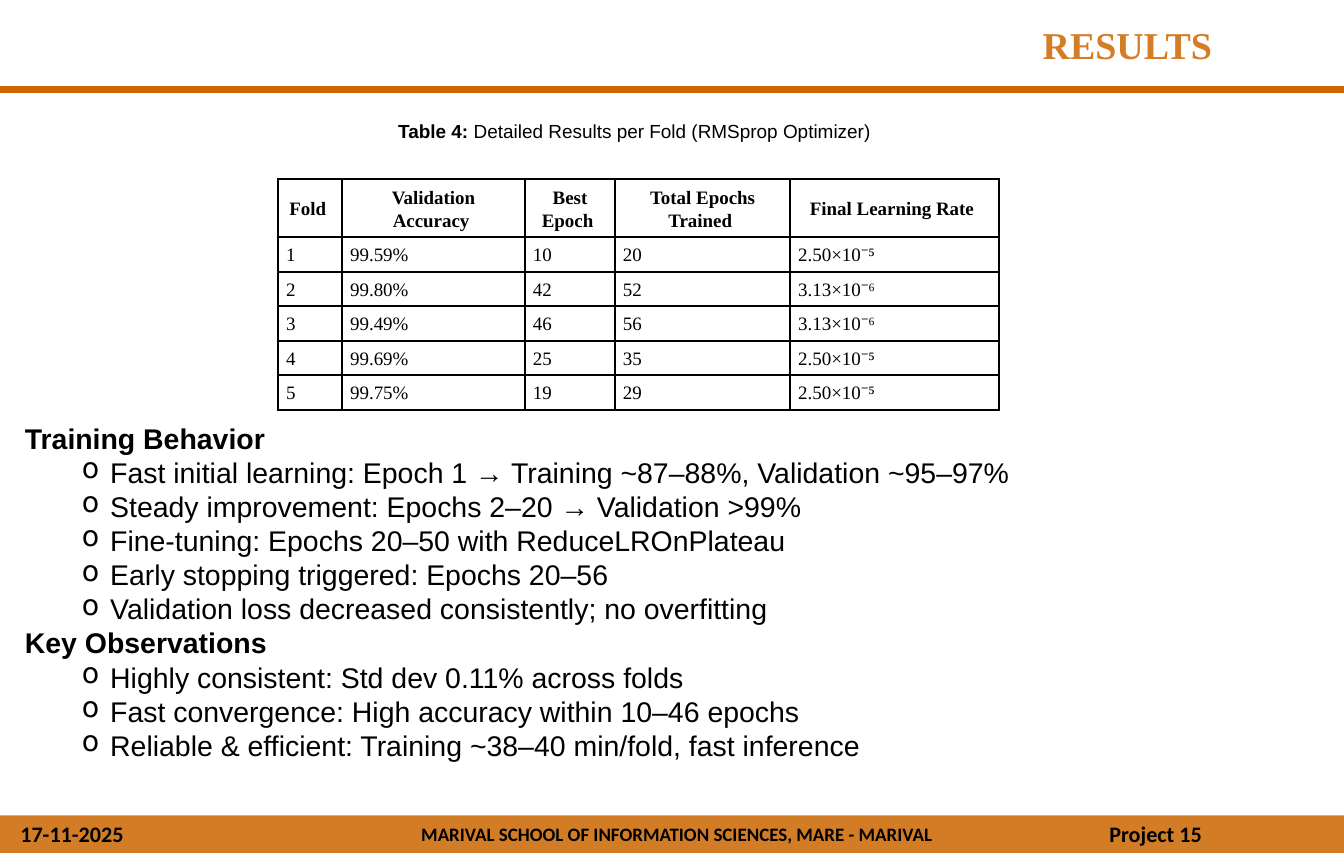
from dataclasses import dataclass

from lxml import etree
from pptx import Presentation, util as u
from pptx.dml.color import RGBColor
from pptx.enum import shapes, text
from pptx.oxml import ns

TITLE = "RESULTS"
CAPTION = ("Table 4: ", "Detailed Results per Fold (RMSprop Optimizer)")
RESULTS = [
    ("Fold", "Validation Accuracy", "Best Epoch", "Total Epochs Trained", "Final Learning Rate"),
    ("1", "99.59%", "10", "20", "2.50×10⁻⁵"),
    ("2", "99.80%", "42", "52", "3.13×10⁻⁶"),
    ("3", "99.49%", "46", "56", "3.13×10⁻⁶"),
    ("4", "99.69%", "25", "35", "2.50×10⁻⁵"),
    ("5", "99.75%", "19", "29", "2.50×10⁻⁵"),
]
FINDINGS = {
    "Training Behavior": [
        "Fast initial learning: Epoch 1 → Training ~87–88%, Validation ~95–97%",
        "Steady improvement: Epochs 2–20 → Validation >99%",
        "Fine-tuning: Epochs 20–50 with ReduceLROnPlateau",
        "Early stopping triggered: Epochs 20–56",
        "Validation loss decreased consistently; no overfitting",
    ],
    "Key Observations": [
        "Highly consistent: Std dev 0.11% across folds",
        "Fast convergence: High accuracy within 10–46 epochs",
        "Reliable & efficient: Training ~38–40 min/fold, fast inference",
    ],
}
DATE = "17-11-2025"
SCHOOL = "MARIVAL SCHOOL OF INFORMATION SCIENCES, MARE - MARIVAL"
PAGE = "Project 15"

WIDTH, HEIGHT = u.Cm(30), u.Inches(7.5)
COLUMNS = (4.76, 13.6, 6.7, 13.04, 15.5)
HEAD_ROW, BODY_ROW = 6.8, 4.04
RULE_Y = 10.53
HARD_SPACE = chr(160)
LEFT, CENTER = text.PP_ALIGN.LEFT, text.PP_ALIGN.CENTER


@dataclass(frozen=True)
class Theme:
    ink: str = "000000"
    accent: str = "CC6600"
    title: str = "D47D26"
    serif: str = "Times New Roman"
    sans: str = "Arial"
    footer: str = "Calibri"
    heading_size: int = 24
    body_size: int = 18
    footer_size: int = 14
    small_size: int = 12
    body_leading: float = 21.6
    cell_leading: float = 14.6


T = Theme()


def across(share):
    return round(WIDTH * share / 100)


def down(share):
    return round(HEIGHT * share / 100)


def area(x, y, w, h):
    return across(x), down(y), across(w), down(h)


def write(tf, words, size=T.small_size, font=T.sans, color=T.ink, bold=False,
          align=LEFT, leading=None, bullet=None, join=False):
    p = tf.paragraphs[-1]
    if p.runs and not join:
        p = tf.add_paragraph()
    p.alignment = align
    if leading:
        p.line_spacing = u.Pt(leading)
    if bullet:
        p.level = 1
        props = p._p.get_or_add_pPr()
        props.set("marL", str(u.Inches(0.75)))
        props.set("indent", str(-u.Inches(0.25)))
        etree.SubElement(props, ns.qn("a:buChar"), char=bullet)
    r = p.add_run()
    r.text = words
    r.font.size, r.font.name, r.font.bold = u.Pt(size), font, bold
    r.font.color.rgb = RGBColor.from_string(color)


def text_box(s, *place):
    tf = s.shapes.add_textbox(*area(*place)).text_frame
    tf.word_wrap = True
    return tf


def add_frame(s):
    rule = s.shapes.add_connector(shapes.MSO_CONNECTOR.STRAIGHT, 0, down(RULE_Y), WIDTH, down(RULE_Y))
    rule.line.color.rgb = RGBColor.from_string(T.accent)
    rule.line.width = u.Pt(4.5)
    etree.SubElement(rule._element.spPr, ns.qn("a:effectLst"))

    bar = s.shapes.add_shape(shapes.MSO_SHAPE.RECTANGLE, *area(0, 95.6, 100, 4.4))
    bar.shadow.inherit = False
    bar.line.fill.background()
    bar.fill.solid()
    bar.fill.fore_color.rgb = RGBColor.from_string(T.accent)
    tint = bar._element.spPr.find(".//" + ns.qn("a:srgbClr"))
    etree.SubElement(tint, ns.qn("a:alpha"), val="85000")

    for words, place, size, align in (
        (SCHOOL, (24.13, 95.8, 52.5, 4.13), T.small_size, CENTER),
        (DATE, (0.68, 95.47, 11.26, 4.53), T.footer_size, LEFT),
        (PAGE, (81.71, 95.47, 18.2, 4.53), T.footer_size, LEFT),
    ):
        write(text_box(s, *place), words, size=size, font=T.footer, bold=True, align=align)


def add_findings(s):
    tf = text_box(s, 1.02, 48.67, 95.94, 42)
    for heading, points in FINDINGS.items():
        write(tf, heading, size=T.body_size, bold=True, leading=T.body_leading)
        for point in points:
            write(tf, point, size=T.body_size, leading=T.body_leading, bullet="o")


def outline(cell):
    props = cell._tc.get_or_add_tcPr()
    for i, side in enumerate(("a:lnL", "a:lnR", "a:lnT", "a:lnB")):
        ln = etree.Element(ns.qn(side), w=str(u.Pt(1.5)))
        fill = etree.SubElement(ln, ns.qn("a:solidFill"))
        etree.SubElement(fill, ns.qn("a:srgbClr"), val=T.ink)
        props.insert(i, ln)


def add_results(s):
    heights = [HEAD_ROW] + [BODY_ROW] * (len(RESULTS) - 1)
    place = area(20.7, 21, sum(COLUMNS), sum(heights))
    table = s.shapes.add_table(len(RESULTS), len(COLUMNS), *place).table
    table.first_row = table.horz_banding = False
    for column, share in zip(table.columns, COLUMNS):
        column.width = across(share)
    for i, (row, share) in enumerate(zip(table.rows, heights)):
        row.height = down(share)
        for cell, words in zip(row.cells, RESULTS[i]):
            cell.fill.background()
            outline(cell)
            cell.vertical_anchor = text.MSO_ANCHOR.MIDDLE
            cell.margin_left = cell.margin_right = u.Inches(0.07)
            cell.margin_top = cell.margin_bottom = u.Inches(0.05)
            write(cell.text_frame, words + HARD_SPACE, font=T.serif, bold=i == 0,
                  align=LEFT if i else CENTER, leading=T.cell_leading)


def main():
    prs = Presentation()
    prs.slide_width, prs.slide_height = WIDTH, HEIGHT
    s = prs.slides.add_slide(prs.slide_layouts[6])
    add_frame(s)
    write(text_box(s, 76.75, 1.87, 22.27, 17.47), TITLE, size=T.heading_size, font=T.serif,
          color=T.title, bold=True, align=text.PP_ALIGN.JUSTIFY)
    add_findings(s)
    add_results(s)
    caption = text_box(s, 20.55, 13.33, 53.34, 4)
    label, description = CAPTION
    write(caption, label, bold=True, align=CENTER)
    write(caption, description, align=CENTER, join=True)
    prs.save("out.pptx")


if __name__ == "__main__":
    main()
